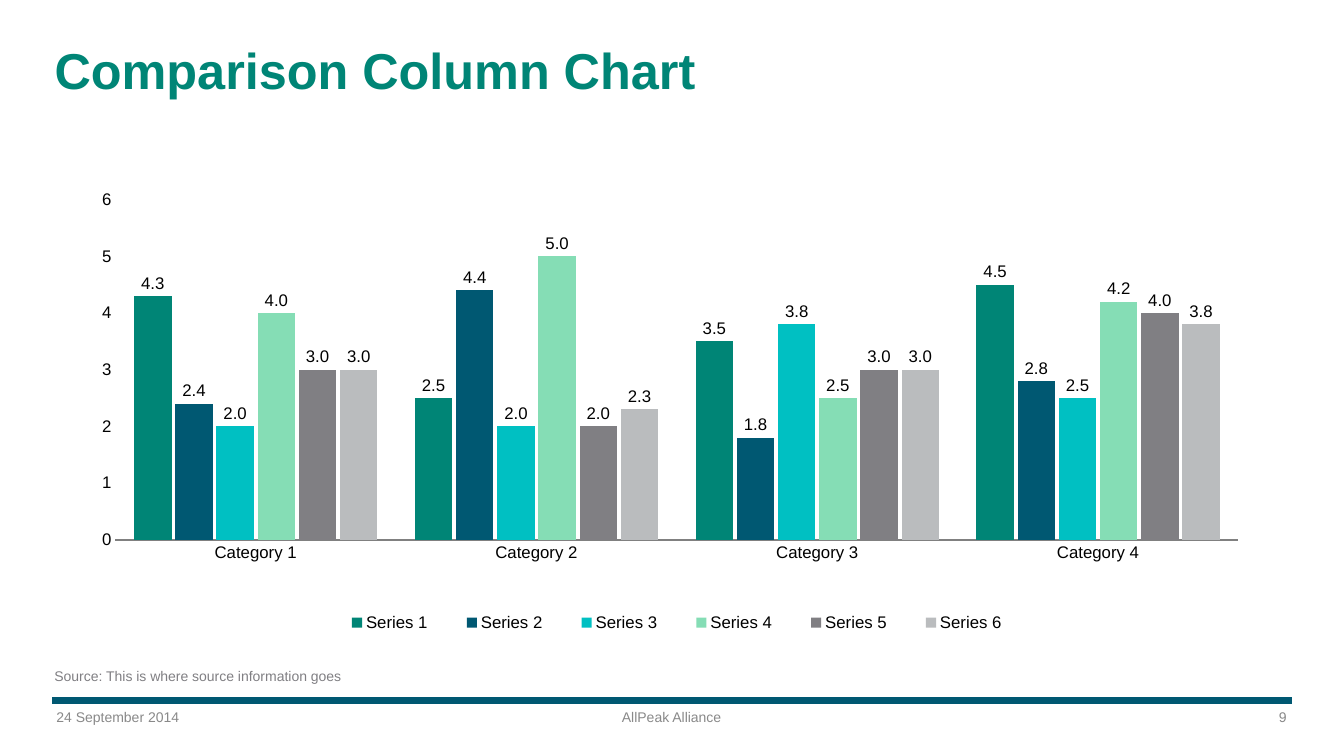
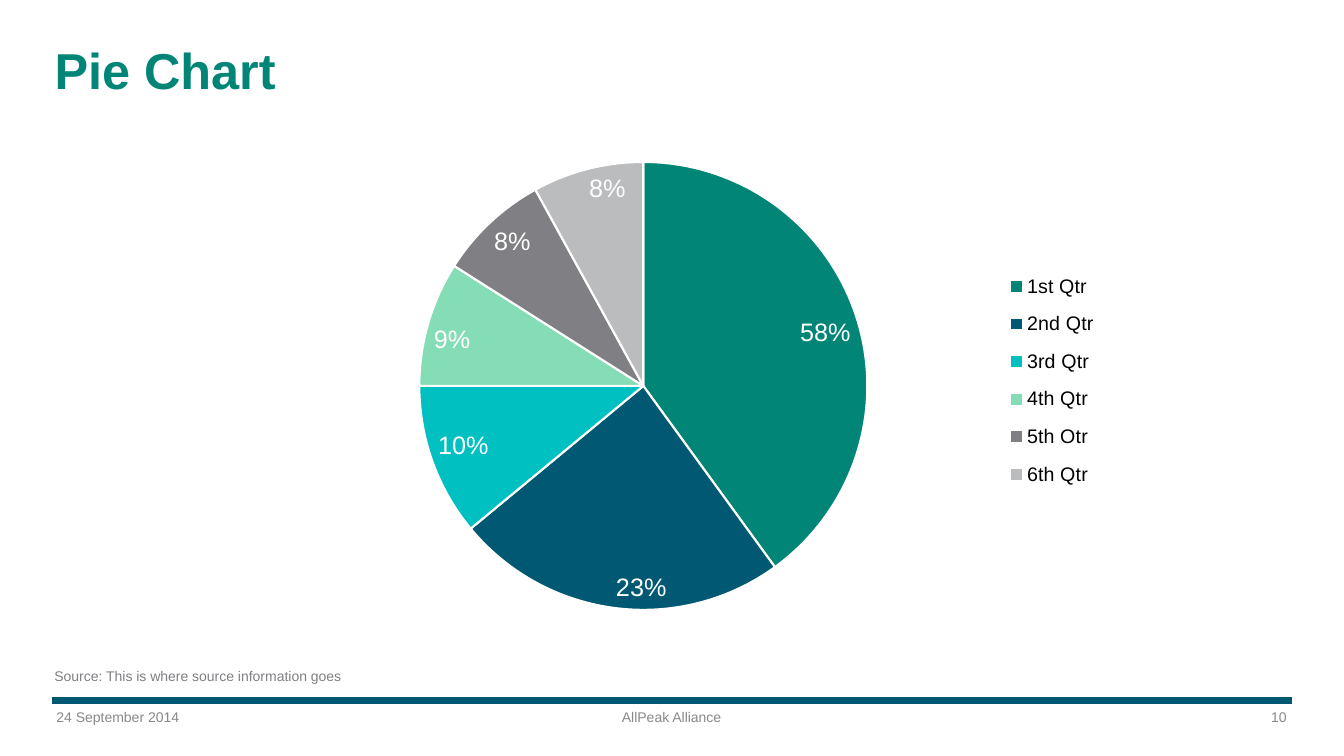
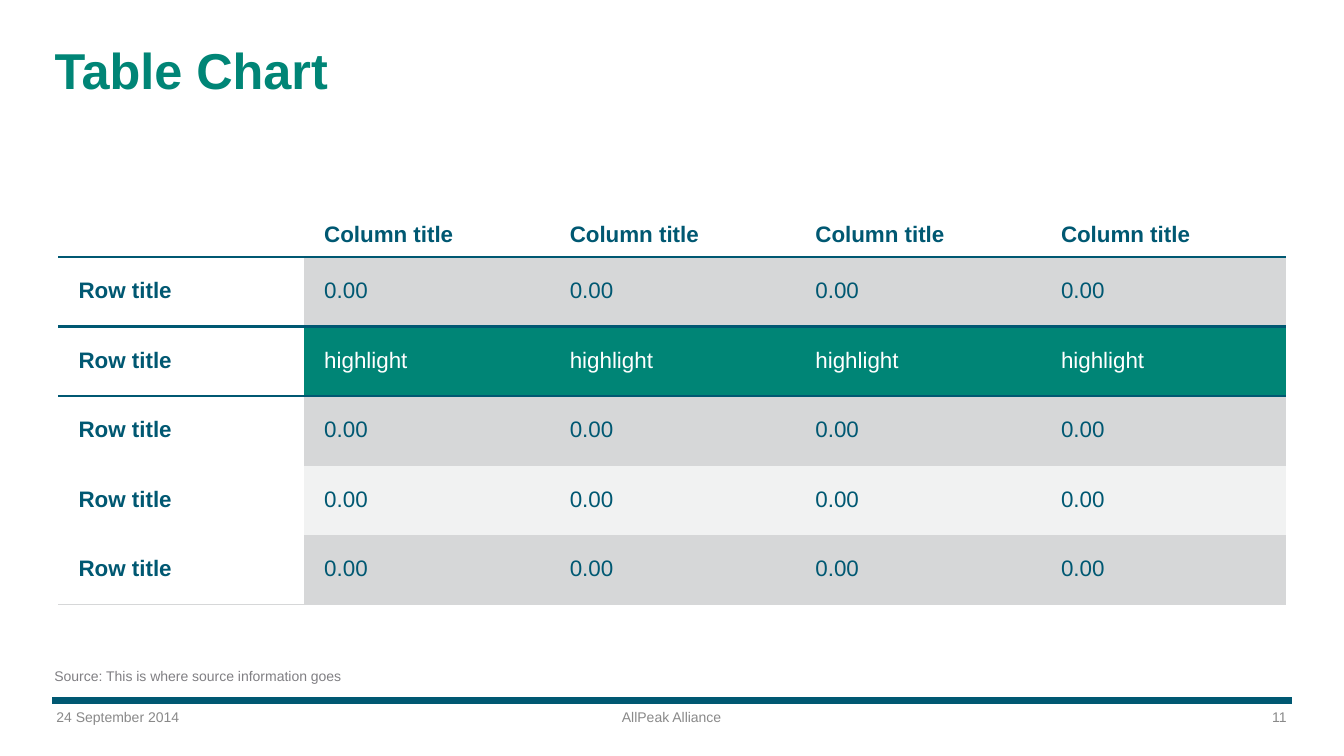
from pptx import Presentation, util as u
from pptx.chart.data import CategoryChartData
from pptx.dml.color import RGBColor
from pptx.enum import chart as ch, shapes, text
from pptx.oxml import parse_xml
from pptx.oxml.ns import nsdecls, qn

WIDTH, HEIGHT = u.Inches(13.33), u.Inches(7.5)
FONT = "Arial"

GREEN = RGBColor(0x00, 0x85, 0x76)
NAVY = RGBColor(0x00, 0x58, 0x72)
TURQUOISE = RGBColor(0x00, 0xC0, 0xC2)
MINT = RGBColor(0x85, 0xDD, 0xB5)
GRAY = RGBColor(0x80, 0x7F, 0x83)
SILVER = RGBColor(0xBA, 0xBC, 0xBE)
FOOTER_GRAY = RGBColor(0x89, 0x89, 0x89)
AXIS_GRAY = RGBColor(0x80, 0x80, 0x80)
BAND_DARK = RGBColor(0xD6, 0xD7, 0xD8)
BAND_LIGHT = RGBColor(0xF1, 0xF2, 0xF2)
WHITE = RGBColor(0xFF, 0xFF, 0xFF)
BLACK = RGBColor(0x00, 0x00, 0x00)
PALETTE = [GREEN, NAVY, TURQUOISE, MINT, GRAY, SILVER]

DATE = "24 September 2014"
ORGANISATION = "AllPeak Alliance"
SOURCE = "Source: This is where source information goes"
FIRST_PAGE = 9
NO_STYLE = "{2D5ABB26-0587-4C30-8999-92F81FD0307C}"


def area(left, top, width, height):
    return [int(share * side / 100) for share, side in
            zip((left, top, width, height), (WIDTH, HEIGHT) * 2)]


def write(holder, content, size=10, color=FOOTER_GRAY, bold=False,
          align=text.PP_ALIGN.LEFT, anchor=text.MSO_ANCHOR.TOP,
          insets=(0.05, 0.05, 0.05, 0.05), spacing=1.0, after=0):
    (holder.margin_left, holder.margin_top,
     holder.margin_right, holder.margin_bottom) = map(u.Inches, insets)
    holder.vertical_anchor = anchor
    frame = getattr(holder, "text_frame", holder)
    frame.word_wrap = True
    paragraph = frame.paragraphs[0]
    paragraph.alignment = align
    paragraph.line_spacing = spacing
    paragraph.space_after = u.Pt(after)
    run = paragraph.add_run()
    run.text = content
    style_font(run.font, size, color, bold)


def style_font(font, size, color, bold=False):
    font.name, font.size, font.bold = FONT, u.Pt(size), bold
    font.color.rgb = color


def add_text(slide, place, content, **style):
    write(slide.shapes.add_textbox(*area(*place)).text_frame, content, **style)


def add_rule(slide, left, right, level):
    x1, y, x2, _ = area(left, level, right, 0)
    rule = slide.shapes.add_connector(shapes.MSO_CONNECTOR.STRAIGHT, x1, y, x2, y)
    rule.line.color.rgb = NAVY
    rule.line.width = u.Pt(5.5)
    rule._element.spPr.append(parse_xml(f"<a:effectLst {nsdecls('a')}/>"))


def add_page(prs, heading):
    slide = prs.slides.add_slide(prs.slide_layouts[5])
    title = slide.shapes.title
    title.left, title.top, title.width, title.height = area(3.68, 5.07, 92.2, 9.07)
    title.text_frame.auto_size = text.MSO_AUTO_SIZE.NONE
    write(title.text_frame, heading, size=36, color=GREEN, bold=True,
          anchor=text.MSO_ANCHOR.MIDDLE, spacing=0.95)
    page = str(FIRST_PAGE + len(prs.slides) - 1)
    aligns = (text.PP_ALIGN.LEFT, text.PP_ALIGN.CENTER, text.PP_ALIGN.RIGHT)
    for column, (label, align) in enumerate(zip((DATE, ORGANISATION, page), aligns)):
        add_text(slide, (3.83 + column * 33.8, 93.07, 24.68, 3.6), label, align=align)
    add_rule(slide, 3.9, 96.1, 92.67)
    add_text(slide, (4.05, 87.33, 36.38, 4), SOURCE, color=GRAY,
             insets=(0, 0.07, 0.13, 0.07))
    return slide


def set_layout(parent, index, shares, target=""):
    for old in parent.findall(qn("c:layout")):
        parent.remove(old)
    sizes = "".join(f'<c:{key} val="{share}"/>' for key, share in zip("xywh", shares))
    parent.insert(index, parse_xml(
        f"<c:layout {nsdecls('c')}><c:manualLayout>{target}"
        f'<c:xMode val="edge"/><c:yMode val="edge"/>{sizes}'
        "</c:manualLayout></c:layout>"))


def add_chart(slide, kind, place, categories, series, size, plot_shares,
              legend_side, legend_shares, legend_size):
    data = CategoryChartData()
    data.categories = categories
    for name, values in series:
        data.add_series(name, values)
    chart = slide.shapes.add_chart(kind, *area(*place), data).chart
    chart.has_title = False
    style_font(chart.font, size, BLACK)
    chart.has_legend = True
    chart.legend.position = legend_side
    chart.legend.include_in_layout = False
    style_font(chart.legend.font, legend_size, BLACK)
    set_layout(chart.legend._element, 1, legend_shares)
    set_layout(chart.element.xpath("c:chart/c:plotArea")[0], 0, plot_shares,
               '<c:layoutTarget val="inner"/>')
    return chart


def paint(fill, color):
    fill.solid()
    fill.fore_color.rgb = color


def fill_columns(slide):
    rows = [(4.3, 2.5, 3.5, 4.5), (2.4, 4.4, 1.8, 2.8), (2, 2, 3.8, 2.5),
            (4, 5, 2.5, 4.2), (3, 2, 3, 4), (3, 2.3, 3, 3.8)]
    chart = add_chart(
        slide, ch.XL_CHART_TYPE.COLUMN_CLUSTERED, (5.03, 24, 88.9, 60.8),
        [f"Category {n}" for n in range(1, 5)],
        [(f"Series {n}", row) for n, row in enumerate(rows, 1)],
        12, (0.04, 0.04, 0.94, 0.74),
        ch.XL_LEGEND_POSITION.BOTTOM, (0.21, 0.92, 0.6, 0.08), 12)
    plot = chart.plots[0]
    plot.gap_width, plot.overlap, plot.vary_by_categories = 100, -10, False
    for series, color in zip(plot.series, PALETTE):
        paint(series.format.fill, color)
        labels = series.data_labels
        labels.show_value = True
        labels.number_format, labels.number_format_is_linked = "#,##0.0", False
        labels.position = ch.XL_LABEL_POSITION.OUTSIDE_END
        style_font(labels.font, 12, BLACK)
    for axis in (chart.category_axis, chart.value_axis):
        axis.major_tick_mark = axis.minor_tick_mark = ch.XL_TICK_MARK.NONE
        axis.has_major_gridlines = False
    base = chart.category_axis.format.line
    base.color.rgb, base.width = AXIS_GRAY, u.Pt(1.75)
    scale = chart.value_axis
    scale.format.line.fill.background()
    scale.minimum_scale, scale.maximum_scale, scale.major_unit = 0, 6, 1


def fill_pie(slide):
    chart = add_chart(
        slide, ch.XL_CHART_TYPE.PIE, (11.63, 17.33, 72.47, 74.13),
        ["1st Qtr", "2nd Qtr", "3rd Qtr", "4th Qtr", "5th Otr", "6th Qtr"],
        [("Series 1", (40, 24, 11, 9, 8, 8))],
        18, (0.27, 0.05, 0.46, 0.81),
        ch.XL_LEGEND_POSITION.RIGHT, (0.85, 0.23, 0.14, 0.43), 14)
    plot = chart.plots[0]
    plot.vary_by_categories = True
    quarters = plot.series[0]
    labels = quarters.data_labels
    labels.show_percentage, labels.show_value = True, False
    labels.number_format, labels.number_format_is_linked = "0%", False
    labels.position = ch.XL_LABEL_POSITION.INSIDE_END
    style_font(labels.font, 18, WHITE)
    for index, color in enumerate(PALETTE):
        wedge = quarters.points[index].format
        paint(wedge.fill, color)
        wedge.line.color.rgb, wedge.line.width = WHITE, u.Pt(1.5)
    for index, share in enumerate(("58%", "23%", "10%", "9%")):
        label = quarters.points[index].data_label
        run = label.text_frame.paragraphs[0].add_run()
        run.text = share
        style_font(run.font, 18, WHITE)
        label.position = ch.XL_LABEL_POSITION.INSIDE_END


def add_border(cell, side, color, width):
    props = cell._tc.get_or_add_tcPr()
    props.insert(0, parse_xml(
        f'<a:{side} {nsdecls("a")} w="{u.Pt(width)}"><a:solidFill>'
        f'<a:srgbClr val="{color}"/></a:solidFill></a:{side}>'))


def fill_table(slide):
    bands = [None, BAND_DARK, GREEN, BAND_DARK, BAND_LIGHT, BAND_DARK]
    borders = {0: (NAVY, 2.25), 1: (NAVY, 2.25), 5: (BAND_DARK, 1)}
    insets = (0.2, 0.1, 0.2, 0.1)
    frame = slide.shapes.add_table(len(bands), 5, *area(4.35, 27.2, 91.37, 53.07))
    table = frame.table
    table._tbl.tblPr.find(qn("a:tableStyleId")).text = NO_STYLE
    table.first_row = table.horz_banding = False
    for index, row in enumerate(table.rows):
        row.height = u.Inches(0.69 if index else 0.51)
        for column, cell in enumerate(row.cells):
            filled = index and column
            if filled:
                paint(cell.fill, bands[index])
            else:
                cell.fill.background()
            if index in borders:
                add_border(cell, "lnB", *borders[index])
            if index - 1 in borders:
                add_border(cell, "lnT", *borders[index - 1])
            highlighted = filled and bands[index] == GREEN
            if index == 0 and column:
                write(cell, "Column title", size=16, color=NAVY, bold=True,
                      anchor=text.MSO_ANCHOR.BOTTOM, insets=insets, spacing=0.95)
            elif index:
                value = "highlight" if highlighted else "0.00"
                write(cell, value if column else "Row title", size=16,
                      color=WHITE if highlighted else NAVY, bold=not column,
                      anchor=text.MSO_ANCHOR.MIDDLE, insets=insets,
                      spacing=0.9, after=3)


def main():
    prs = Presentation()
    prs.slide_width, prs.slide_height = WIDTH, HEIGHT
    for heading, fill_page in (("Comparison Column Chart", fill_columns),
                               ("Pie Chart", fill_pie),
                               ("Table Chart", fill_table)):
        fill_page(add_page(prs, heading))
    prs.save("out.pptx")


if __name__ == "__main__":
    main()
